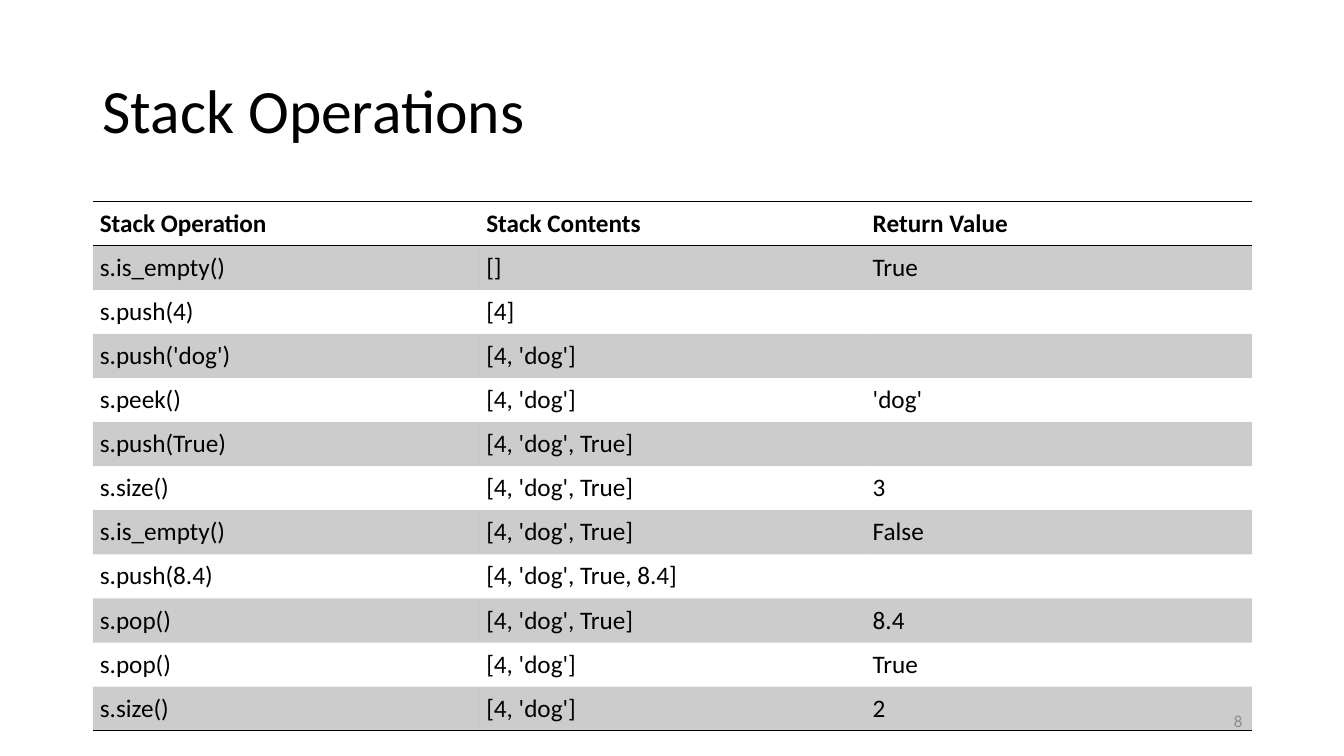
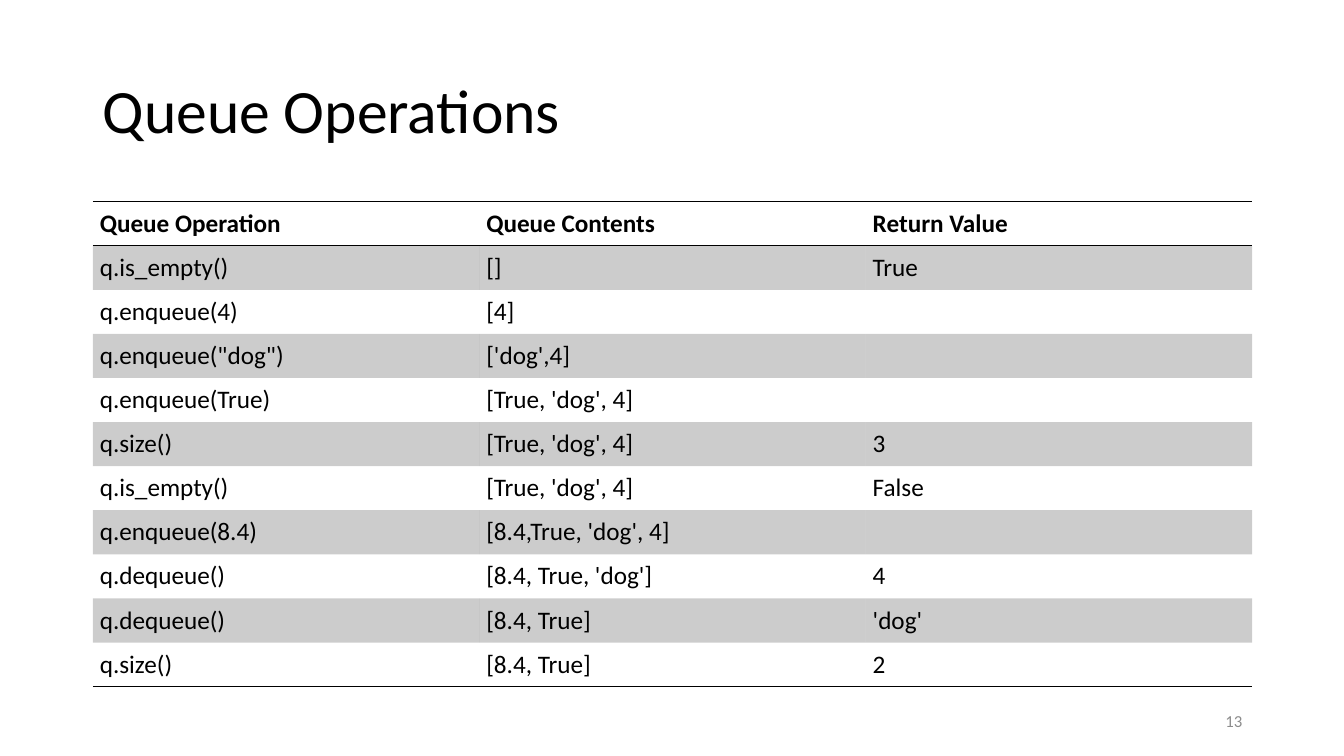
from lxml.etree import SubElement
from pptx import Presentation
from pptx.dml.color import RGBColor
from pptx.enum.text import MSO_ANCHOR as Anchor, PP_ALIGN as Align
from pptx.oxml.ns import qn
from pptx.util import Inches, Pt

FONT = "Calibri"
INK = "000000"
MUTED = "8C8C8C"
BAND_OPACITY = 20
TITLE_BOX = (0.92, 0.4, 11.5, 1.45)
TABLE_BOX = (0.92, 2, 11.5)
NUMBER_BOX = (9.42, 6.95, 3, 0.4)
ROW_HEIGHT = 5.25 / 12
PLAIN_TABLE_STYLE = "{2D5ABB26-0587-4C30-8999-92F81FD0307C}"

STACK_ROWS = [
    ("Stack Operation", "Stack Contents", "Return Value"),
    ("s.is_empty()", "[]", "True"),
    ("s.push(4)", "[4]", ""),
    ("s.push('dog')", "[4, 'dog']", ""),
    ("s.peek()", "[4, 'dog']", "'dog'"),
    ("s.push(True)", "[4, 'dog', True]", ""),
    ("s.size()", "[4, 'dog', True]", "3"),
    ("s.is_empty()", "[4, 'dog', True]", "False"),
    ("s.push(8.4)", "[4, 'dog', True, 8.4]", ""),
    ("s.pop()", "[4, 'dog', True]", "8.4"),
    ("s.pop()", "[4, 'dog']", "True"),
    ("s.size()", "[4, 'dog']", "2"),
]

QUEUE_ROWS = [
    ("Queue Operation", "Queue Contents", "Return Value"),
    ("q.is_empty()", "[]", "True"),
    ("q.enqueue(4)", "[4]", ""),
    ('q.enqueue("dog")', "['dog',4]", ""),
    ("q.enqueue(True)", "[True, 'dog', 4]", ""),
    ("q.size()", "[True, 'dog', 4]", "3"),
    ("q.is_empty()", "[True, 'dog', 4]", "False"),
    ("q.enqueue(8.4)", "[8.4,True, 'dog', 4]", ""),
    ("q.dequeue()", "[8.4, True, 'dog']", "4"),
    ("q.dequeue()", "[8.4, True]", "'dog'"),
    ("q.size()", "[8.4, True]", "2"),
]


def color(hex_code):
    return RGBColor.from_string(hex_code)


def write(frame, text, size=18, ink=INK, bold=False, align=Align.LEFT, spacing=1.0):
    para = frame.paragraphs[0]
    para.alignment = align
    para.line_spacing = spacing
    span = para.add_run()
    span.text = text
    span.font.name = FONT
    span.font.size = Pt(size)
    span.font.bold = bold
    span.font.color.rgb = color(ink)


def add_text(page, box, text, **style):
    frame = page.shapes.add_textbox(*map(Inches, box)).text_frame
    frame.word_wrap = True
    frame.vertical_anchor = Anchor.MIDDLE
    write(frame, text, **style)


def add_rule(cell, side):
    props = cell._tc.get_or_add_tcPr()
    line = SubElement(props, qn(f"a:ln{side}"), w=str(Pt(1)))
    fill = SubElement(line, qn("a:solidFill"))
    SubElement(fill, qn("a:srgbClr"), val=INK)


def shade(cell):
    cell.fill.solid()
    cell.fill.fore_color.rgb = color(INK)
    tone = cell._tc.tcPr.find(qn("a:solidFill")).find(qn("a:srgbClr"))
    SubElement(tone, qn("a:alpha"), val=str(BAND_OPACITY * 1000))


def format_cell(cell, text, row, last_row):
    header = row == 0
    cell.margin_left = cell.margin_right = Inches(0.07)
    cell.margin_top = cell.margin_bottom = Inches(0.06)
    cell.vertical_anchor = Anchor.BOTTOM if header else Anchor.MIDDLE
    if text:
        write(cell.text_frame, text, bold=header)
    if header:
        add_rule(cell, "T")
    if row in (0, last_row):
        add_rule(cell, "B")
    if row % 2:
        shade(cell)
    else:
        cell.fill.background()


def add_operations_table(page, box, rows):
    left, top, width = box
    size = (left, top, width, ROW_HEIGHT * len(rows))
    table = page.shapes.add_table(len(rows), len(rows[0]), *map(Inches, size)).table
    table.first_row = table.horz_banding = False
    table._tbl.tblPr.find(qn("a:tableStyleId")).text = PLAIN_TABLE_STYLE
    for row, texts in enumerate(rows):
        for column, text in enumerate(texts):
            format_cell(table.cell(row, column), text, row, len(rows) - 1)


def add_operations_slide(deck, title, rows, number):
    page = deck.slides.add_slide(deck.slide_layouts[6])
    add_text(page, TITLE_BOX, title, size=44, spacing=0.9)
    add_operations_table(page, TABLE_BOX, rows)
    add_text(page, NUMBER_BOX, number, size=12, ink=MUTED, align=Align.RIGHT)


def main():
    deck = Presentation()
    deck.slide_width, deck.slide_height = Inches(13.33), Inches(7.5)
    add_operations_slide(deck, "Stack Operations", STACK_ROWS, "8")
    add_operations_slide(deck, "Queue Operations", QUEUE_ROWS, "13")
    deck.save("out.pptx")


if __name__ == "__main__":
    main()
